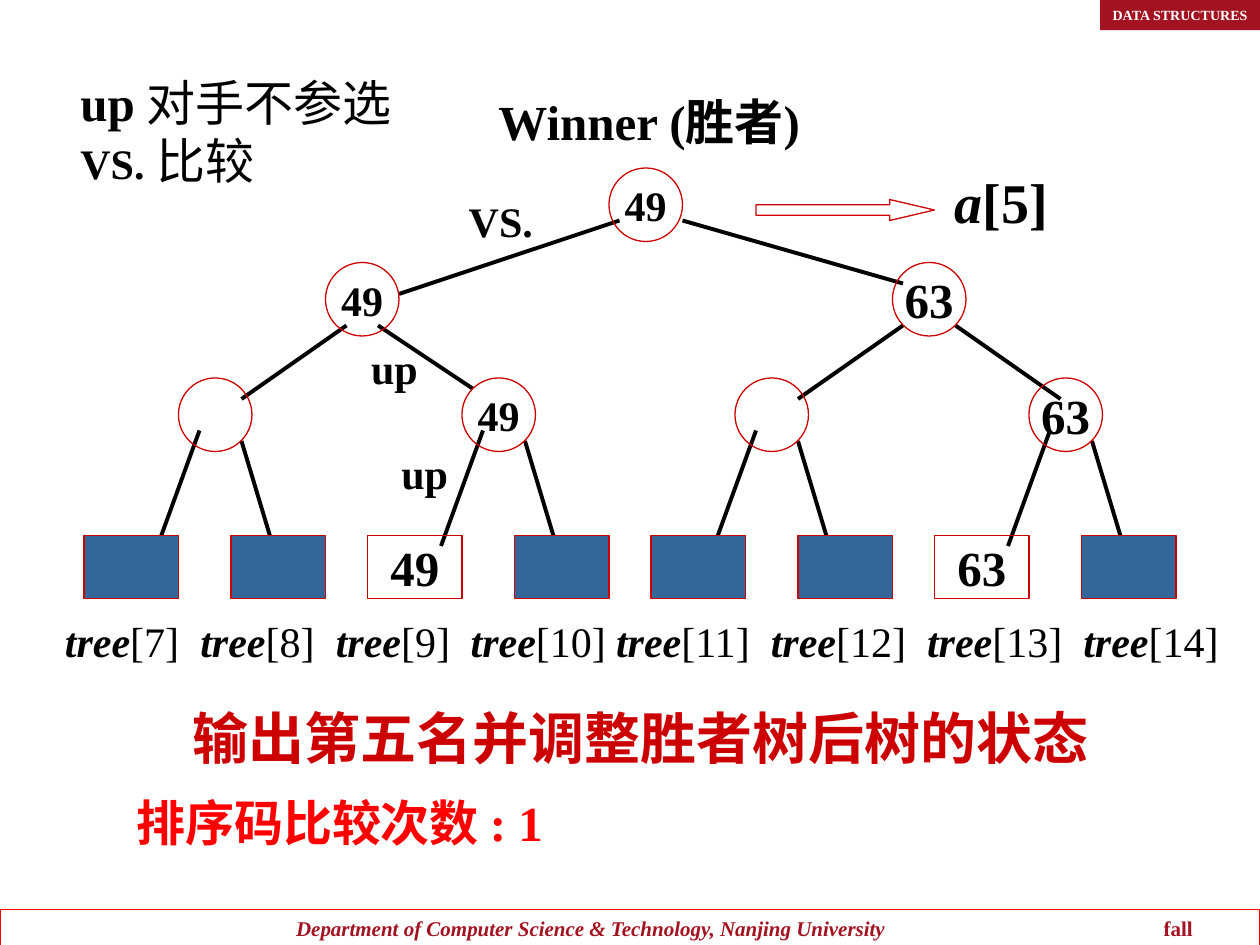
from lxml import etree
from pptx import Presentation
from pptx.dml.color import RGBColor
from pptx.enum import shapes, text
from pptx.oxml import ns
from pptx.util import Cm, Pt

BLACK = RGBColor(0x00, 0x00, 0x00)
WHITE = RGBColor(0xFF, 0xFF, 0xFF)
RED = RGBColor(0xFF, 0x00, 0x00)
DARK_RED = RGBColor(0xCC, 0x00, 0x00)
CRIMSON = RGBColor(0xA3, 0x12, 0x21)
BLUE = RGBColor(0x33, 0x66, 0x99)
FONT = "Times New Roman"
GRID = 2.54 / 12

NODE_SIZE = 7
# left, top, value, text size
NODES = [
    (58, 16, "49", 24),
    (31, 25, "49", 24),
    (85, 25, "63", 28),
    (17, 36, "", 24),
    (44, 36, "49", 24),
    (70, 36, "", 24),
    (98, 36, "63", 28),
]
UPPER_BRANCHES = [
    (65, 21, 86, 27),
    (59, 21, 38, 28),
    (86, 31, 76, 38),
    (91, 31, 101, 38),
    (33, 31, 23, 38),
    (36, 31, 45, 37),
]
LEAVES = [(8, ""), (22, ""), (35, "49"), (49, ""), (62, ""), (76, ""), (89, "63"), (103, "")]
LABEL_TABS = [2.73, 5.46, 8.18, 11.11, 14.23, 17.38, 20.53]


def grid(units):
    """Length of a number of grid steps, twelve to the inch."""
    return Cm(units * GRID)


def add_run(paragraph, content, size, color=BLACK, bold=True, italic=False):
    run = paragraph.add_run()
    run.text = content
    font = run.font
    font.name, font.size, font.bold, font.italic = FONT, Pt(size), bold, italic
    font.color.rgb = color


def add_tabs(paragraph, positions):
    tab_list = etree.SubElement(paragraph._p.get_or_add_pPr(), ns.qn("a:tabLst"))
    for position in positions:
        etree.SubElement(tab_list, ns.qn("a:tab"), pos=str(Cm(position)), algn="l")


def add_shape(slide, kind, box, fill=None, line=None):
    shape = slide.shapes.add_shape(kind, *box)
    shape.shadow.inherit = False
    if fill is None:
        shape.fill.background()
    else:
        shape.fill.solid()
        shape.fill.fore_color.rgb = fill
    if line is None:
        shape.line.fill.background()
    else:
        shape.line.color.rgb = line
        shape.line.width = Pt(0.75)
    return shape


def add_tree_item(slide, kind, box, value, size, fill=None):
    shape = add_shape(slide, kind, box, fill, DARK_RED)
    if value:
        frame = shape.text_frame
        frame.word_wrap = False
        frame.vertical_anchor = text.MSO_ANCHOR.MIDDLE
        paragraph = frame.paragraphs[0]
        paragraph.alignment = text.PP_ALIGN.CENTER
        add_run(paragraph, value, size)


def add_branch(slide, start_x, start_y, end_x, end_y):
    ends = [grid(units) for units in (start_x, start_y, end_x, end_y)]
    branch = slide.shapes.add_connector(shapes.MSO_CONNECTOR.STRAIGHT, *ends)
    branch.line.color.rgb = BLACK
    branch.line.width = Pt(2.25)
    etree.SubElement(branch._element.spPr, ns.qn("a:effectLst"))


def add_text(slide, left, top, width, height, *lines):
    """Add a text box; each line is a list of argument tuples for add_run."""
    box = slide.shapes.add_textbox(Cm(left), Cm(top), Cm(width), Cm(height))
    frame = box.text_frame
    frame.word_wrap = False
    for number, runs in enumerate(lines):
        paragraph = frame.add_paragraph() if number else frame.paragraphs[0]
        for run in runs:
            add_run(paragraph, *run)


def set_title(slide, content):
    title = slide.shapes.title
    title.left, title.top, title.width, title.height = Cm(3.63), Cm(14.05), Cm(19), Cm(1.63)
    frame = title.text_frame
    frame.auto_size = text.MSO_AUTO_SIZE.NONE
    frame.word_wrap = True
    frame.vertical_anchor = text.MSO_ANCHOR.TOP
    paragraph = frame.paragraphs[0]
    paragraph.alignment = text.PP_ALIGN.LEFT
    add_run(paragraph, content, 32, DARK_RED)


def add_bar(slide, left, top, width, height, fill=None, line=None):
    """Add a frame bar and return its left-aligned paragraph."""
    box = [Cm(length) for length in (left, top, width, height)]
    frame = add_shape(slide, shapes.MSO_SHAPE.RECTANGLE, box, fill, line).text_frame
    frame.word_wrap = True
    frame.vertical_anchor = text.MSO_ANCHOR.TOP
    paragraph = frame.paragraphs[0]
    paragraph.alignment = text.PP_ALIGN.LEFT
    return paragraph


def add_page_frame(slide):
    add_run(add_bar(slide, 22.18, 0, 3.38, 0.61, fill=CRIMSON), "DATA STRUCTURES", 8, WHITE)
    footer = add_bar(slide, 0, 18.33, 25.4, 0.76, line=RED)
    add_tabs(footer, [5.72, 23.21])
    add_run(footer, "\tDepartment of Computer Science & Technology, Nanjing University",
            12, CRIMSON, True, True)
    add_run(footer, "\tfall", 12, CRIMSON)


def add_tree(slide):
    for branch in UPPER_BRANCHES:
        add_branch(slide, *branch)
    for left, *_ in NODES[3:]:
        add_branch(slide, left + 2, 41, left - 2, 52)
        add_branch(slide, left + 6, 42, left + 9, 52)
    for left, top, value, size in NODES:
        box = [grid(units) for units in (left, top, NODE_SIZE, NODE_SIZE)]
        add_tree_item(slide, shapes.MSO_SHAPE.OVAL, box, value, size)
    for left, value in LEAVES:
        box = [grid(units) for units in (left, 51, 9, 6)]
        add_tree_item(slide, shapes.MSO_SHAPE.RECTANGLE, box, value, 28, None if value else BLUE)


def add_leaf_labels(slide):
    box = slide.shapes.add_textbox(Cm(1.06), Cm(12.28), Cm(23.92), Cm(1.27))
    box.text_frame.word_wrap = True
    paragraph = box.text_frame.paragraphs[0]
    add_tabs(paragraph, LABEL_TABS)
    for index in range(7, 15):
        add_run(paragraph, "tree", 24, italic=True)
        separator = "\t" if index < 14 else ""
        add_run(paragraph, f"[{index}]{separator}", 24, bold=False)


def add_winner_arrow(slide):
    box = [grid(units) for units in (72, 19, 17, 2)]
    arrow = add_shape(slide, shapes.MSO_SHAPE.RIGHT_ARROW, box, line=DARK_RED)
    arrow.adjustments[0] = 0.5
    arrow.adjustments[1] = 2.13


def main():
    presentation = Presentation()
    presentation.slide_width, presentation.slide_height = Cm(25.4), Cm(19.05)
    slide = presentation.slides.add_slide(presentation.slide_layouts[5])

    add_page_frame(slide)
    add_tree(slide)
    add_leaf_labels(slide)
    set_title(slide, "输出第五名并调整胜者树后树的状态")
    add_winner_arrow(slide)
    add_text(slide, 9.8, 1.73, 7.09, 1.45, [("Winner (胜者)", 28)])
    add_text(slide, 19, 3.25, 2.39, 1.63, [("a", 32, BLACK, True, True), ("[5]", 32)])
    add_text(slide, 2.5, 15.85, 9.45, 1.45, [("排序码比较次数 : 1", 28, RED)])
    add_text(slide, 9.2, 3.81, 1.8, 1.27, [("VS.", 24)])
    for left, top in ((7.84, 8.89), (7.23, 6.78)):
        add_text(slide, left, top, 1.45, 1.27, [("up", 24)])
    add_text(slide, 1.37, 1.33, 7.3, 2.64,
             [("up ", 28), ("对手不参选", 28, BLACK, False)],
             [("VS.", 24), (" 比较", 28, BLACK, False)])
    presentation.save("out.pptx")


if __name__ == "__main__":
    main()
